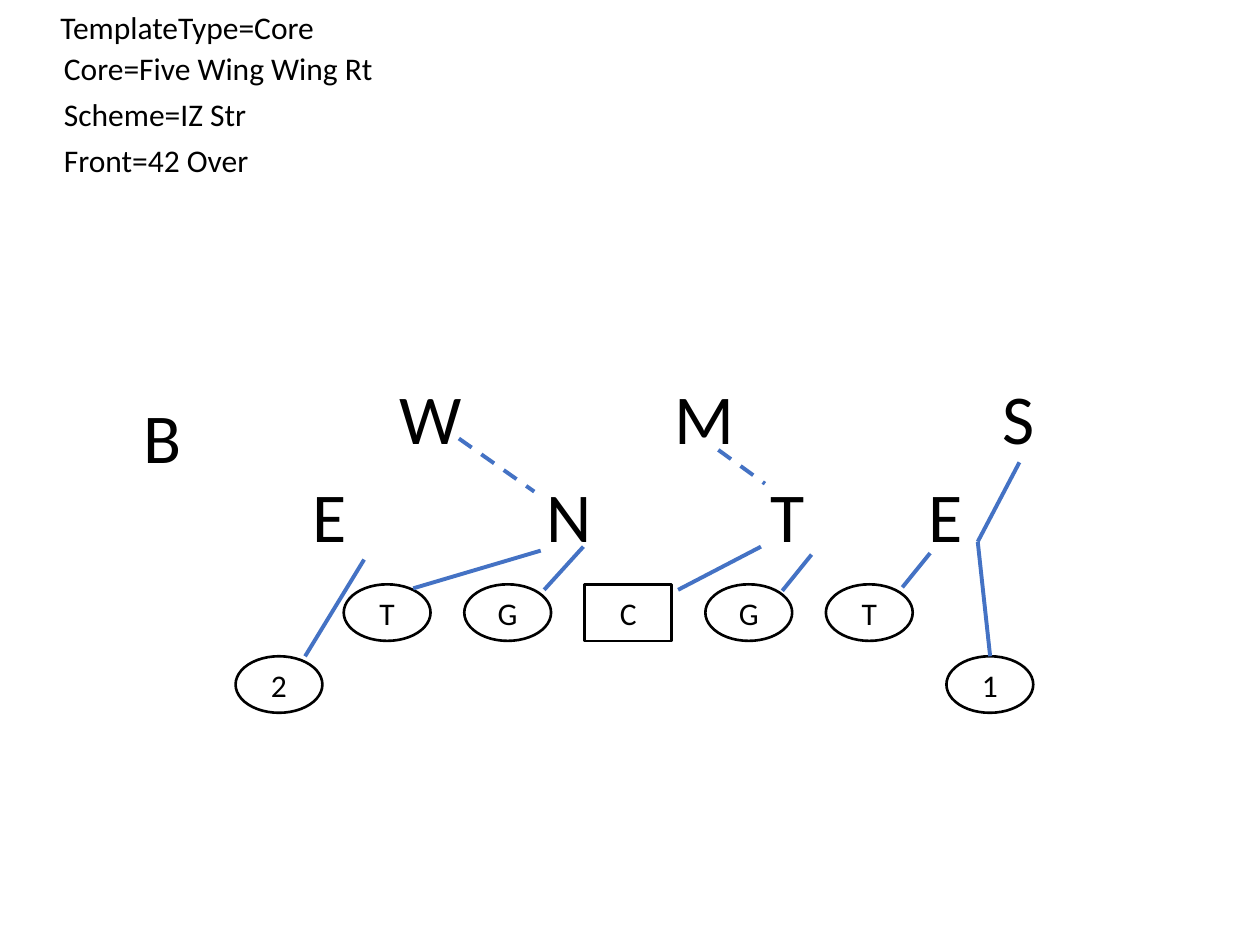
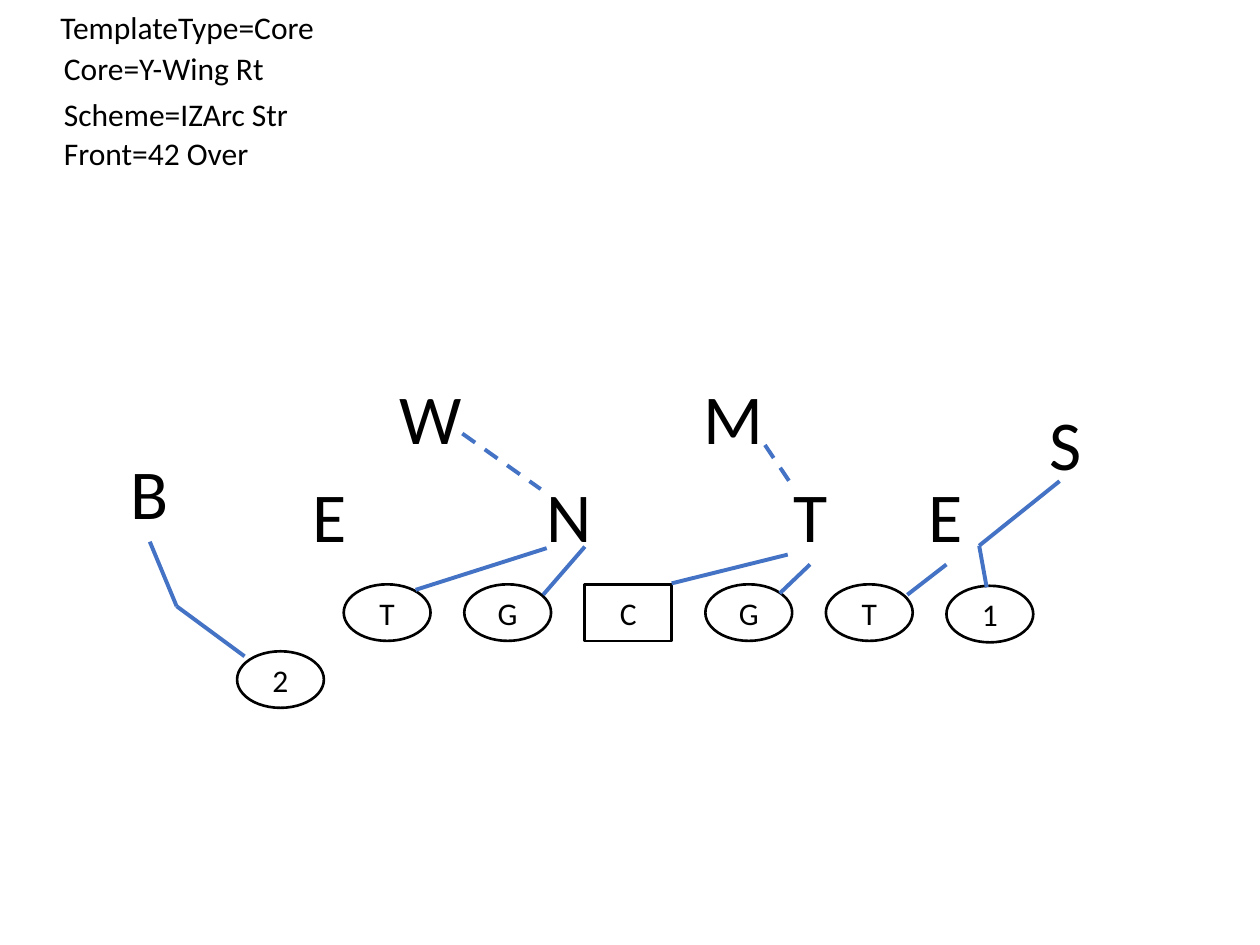
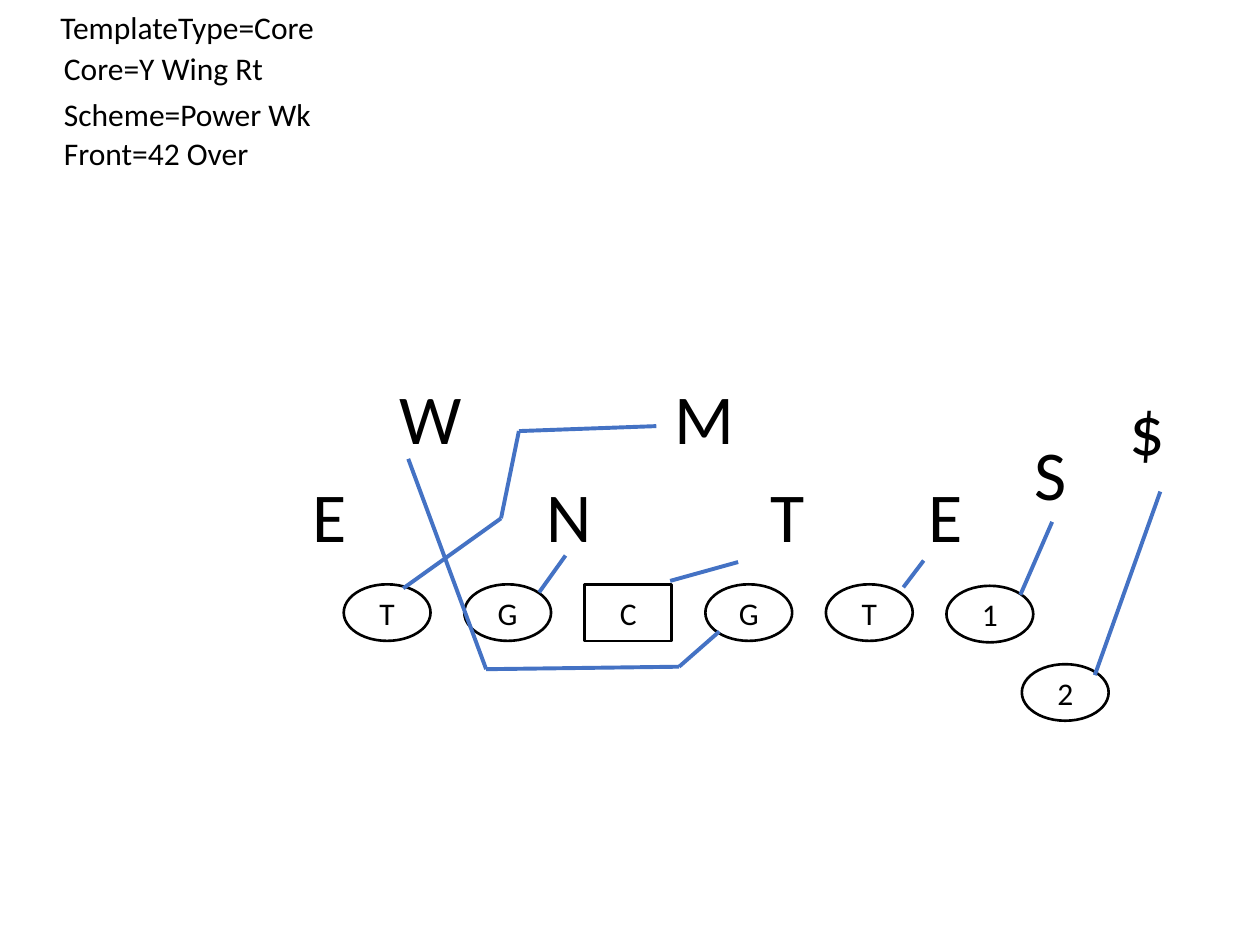
import dataclasses
import itertools

import pptx
import pptx.dml.color
import pptx.enum.dml
import pptx.enum.shapes
import pptx.enum.text
import pptx.oxml.ns
import pptx.util
from lxml import etree

Cm = pptx.util.Cm
Pt = pptx.util.Pt
RGB = pptx.dml.color.RGBColor
Kind = pptx.enum.shapes.MSO_SHAPE


@dataclasses.dataclass(frozen=True)
class Theme:
    font: str = "Calibri"
    ink: RGB = RGB(0, 0, 0)
    paper: RGB = RGB(255, 255, 255)
    route: RGB = RGB(0x44, 0x72, 0xC4)
    small: Pt = Pt(18)
    large: Pt = Pt(40)
    edge: Pt = Pt(1.5)
    stroke: Pt = Pt(2.25)


@dataclasses.dataclass(frozen=True)
class Box:
    """A region of the slide, in centimetres."""
    left: float
    top: float
    width: float
    height: float

    def area(self, x, y, width, height):
        return *self.point(x, y), Cm(width), Cm(height)

    def point(self, x, y):
        return Cm(self.left + x), Cm(self.top + y)


@dataclasses.dataclass(frozen=True)
class Play:
    labels: list   # text, width, top
    wings: list    # text, left, top
    front: list    # letter, left, top
    routes: list   # points of each solid route
    dashes: list = ()


THEME = Theme()
HEAD = Box(0.97, 0.03, 7, 3.8)
FIELD = Box(2, 7, 22, 8)

SPOT = (1.75, 1.14)
LINE_X, LINE_Y, STEP = 4.93, 4.78, 2.43
LINE = "TGCGT"
SLOT = LINE_X + len(LINE) * STEP
LETTER = {"N": 1.42, "T": 1.22, "E": 1.22, "W": 1.78, "M": 1.78,
          "S": 1.2, "B": 1.3, "$": 1.24}
BASE = [("N", 8.77, 2.4), ("E", 16.47, 2.4), ("E", 4.05, 2.4), ("W", 5.8, 0.42)]

PLAYS = [
    Play(
        labels=[("Core=Five Wing Wing Rt", 6.81, 0.83),
                ("Scheme=IZ Str", 4.37, 1.77), ("Front=42 Over", 4.27, 2.69)],
        wings=[("1", SLOT, 6.23), ("2", 2.75, 6.23)],
        front=[("T", 13.29, 2.4), ("M", 11.34, 0.42),
               ("S", 17.96, 0.42), ("B", 0.64, 0.8)],
        routes=[[(8.9, 4.1), (6.33, 4.86)],
                [(9.76, 4.02), (8.97, 4.89)],
                [(5.34, 4.28), (4.15, 6.23)],
                [(14.36, 4.18), (13.77, 4.91)],
                [(13.34, 4.02), (11.67, 4.89)],
                [(16.75, 4.15), (16.19, 4.84)],
                [(17.96, 6.23), (17.71, 3.92), (18.55, 2.32)]],
        dashes=[[(7.25, 1.84), (8.77, 2.91)], [(12.48, 2.07), (13.42, 2.75)]]),
    Play(
        labels=[("Core=Y-Wing Rt", 4.62, 0.83),
                ("Scheme=IZArc Str", 5.08, 1.77), ("Front=42 Over", 4.27, 2.54)],
        wings=[("1", SLOT, 4.81), ("2", 2.78, 6.13)],
        front=[("T", 13.75, 2.4), ("M", 11.94, 0.42),
               ("S", 18.9, 0.95), ("B", 0.39, 1.94)],
        routes=[[(17.08, 4.38), (16.29, 4.99)],
                [(17.89, 4.84), (17.74, 4), (19.36, 2.7)],
                [(14.33, 4.38), (13.72, 4.96)],
                [(11.54, 4.76), (13.88, 4.18)],
                [(9.79, 4.02), (8.95, 4.99)],
                [(9.02, 4.05), (6.38, 4.89)],
                [(1.02, 3.92), (1.56, 5.22), (2.93, 6.23)]],
        dashes=[[(13.42, 1.97), (14.03, 2.88)], [(7.32, 1.74), (8.9, 2.86)]]),
    Play(
        labels=[("Core=Y Wing Rt", 4.57, 0.83),
                ("Scheme=Power Wk", 5.54, 1.77), ("Front=42 Over", 4.42, 2.54)],
        wings=[("1", SLOT, 4.81), ("2", 18.6, 6.39)],
        front=[("T", 13.29, 2.4), ("M", 11.34, 0.42),
               ("S", 18.6, 1.56), ("$", 20.53, 0.65)],
        routes=[[(8.87, 4.94), (9.4, 4.2)],
                [(11.51, 4.71), (12.88, 4.33)],
                [(16.62, 4.3), (16.21, 4.84)],
                [(18.57, 4.99), (19.21, 3.52)],
                [(20.07, 6.61), (21.39, 2.91)],
                [(6.13, 4.86), (8.1, 3.45), (8.46, 1.69), (11.23, 1.59)],
                [(12.5, 5.73), (11.69, 6.44), (7.8, 6.49), (6.23, 2.25)]]),
]


def write(frame, text, size):
    run = frame.paragraphs[0].add_run()
    run.text = text
    run.font.name = THEME.font
    run.font.size = size
    run.font.color.rgb = THEME.ink


def add_text(slide, place, text, size):
    frame = slide.shapes.add_textbox(*place).text_frame
    frame.word_wrap = False
    frame.auto_size = pptx.enum.text.MSO_AUTO_SIZE.SHAPE_TO_FIT_TEXT
    write(frame, text, size)


def add_spot(slide, box, text, x, y):
    """Draw one offensive player; the centre is square."""
    kind = Kind.RECTANGLE if text == "C" else Kind.OVAL
    spot = slide.shapes.add_shape(kind, *box.area(x, y, *SPOT))
    spot.shadow.inherit = False
    spot.fill.solid()
    spot.fill.fore_color.rgb = THEME.paper
    spot.line.color.rgb = THEME.ink
    spot.line.width = THEME.edge
    frame = spot.text_frame
    frame.vertical_anchor = pptx.enum.text.MSO_ANCHOR.MIDDLE
    frame.paragraphs[0].alignment = pptx.enum.text.PP_ALIGN.CENTER
    write(frame, text, THEME.small)


def add_route(slide, box, points, dash=False):
    for start, end in itertools.pairwise(points):
        leg = slide.shapes.add_connector(
            pptx.enum.shapes.MSO_CONNECTOR.STRAIGHT,
            *box.point(*start), *box.point(*end))
        leg.line.color.rgb = THEME.route
        leg.line.width = THEME.stroke
        if dash:
            leg.line.dash_style = pptx.enum.dml.MSO_LINE.DASH
        props = leg._element.spPr
        etree.SubElement(props, pptx.oxml.ns.qn("a:effectLst"))


def add_head(slide, box, labels):
    add_text(slide, box.area(0, 0, 5.69, 1.02), "TemplateType=Core", THEME.small)
    for text, width, top in labels:
        add_text(slide, box.area(0.07, top, width, 1.02), text, THEME.small)


def add_field(slide, box, play):
    for i, text in enumerate(LINE):
        add_spot(slide, box, text, LINE_X + i * STEP, LINE_Y)
    for wing in play.wings:
        add_spot(slide, box, *wing)
    for text, x, y in BASE + play.front:
        add_text(slide, box.area(x, y, LETTER[text], 1.96), text, THEME.large)
    for points in play.routes:
        add_route(slide, box, points)
    for points in play.dashes:
        add_route(slide, box, points, dash=True)


def main():
    deck = pptx.Presentation()
    deck.slide_width, deck.slide_height = Cm(25.4), Cm(19.05)
    blank = deck.slide_layouts.get_by_name("Blank")
    for play in PLAYS:
        slide = deck.slides.add_slide(blank)
        add_head(slide, HEAD, play.labels)
        add_field(slide, FIELD, play)
    deck.save("out.pptx")


if __name__ == "__main__":
    main()
